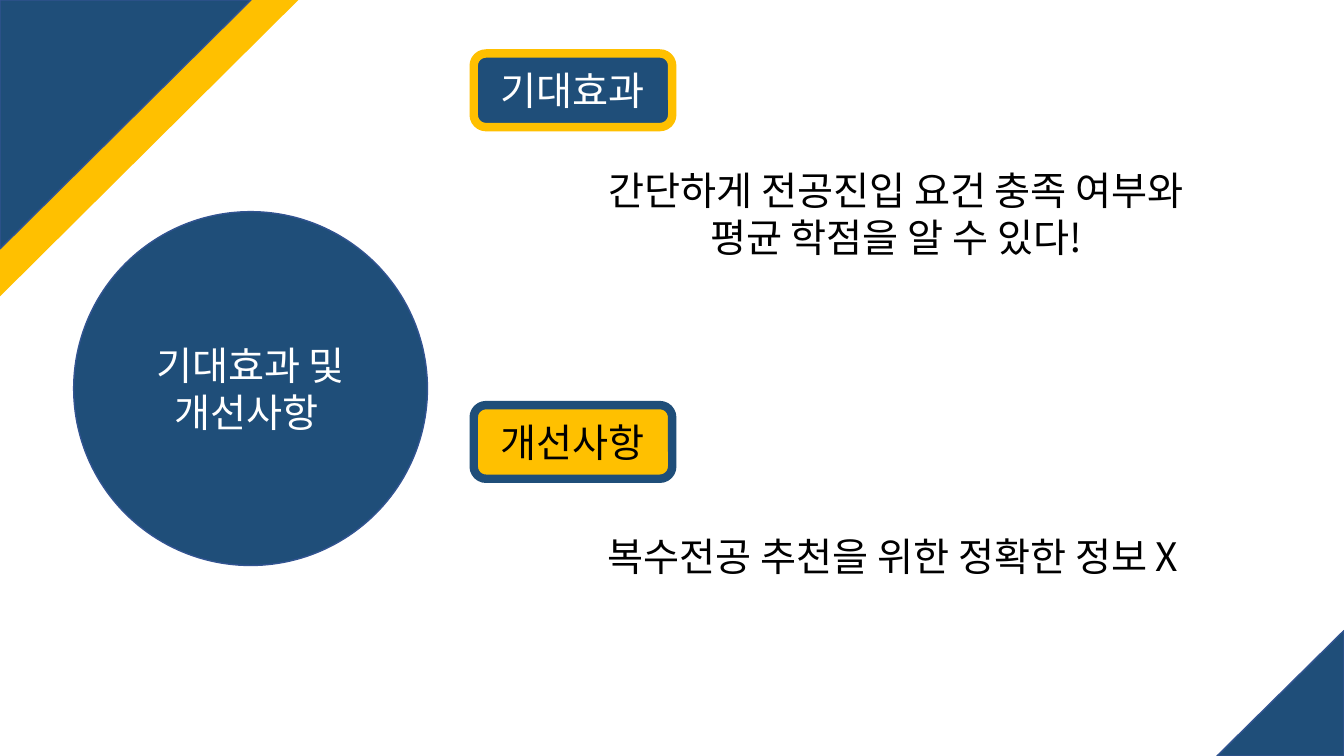
"""Build the expected effects and improvements slide."""
from dataclasses import dataclass

from lxml.etree import SubElement
from pptx import Presentation
from pptx.dml.color import RGBColor
from pptx.enum.shapes import MSO_SHAPE as Preset
from pptx.enum.text import MSO_ANCHOR as Anchor, MSO_AUTO_SIZE as AutoSize, PP_ALIGN as Align
from pptx.oxml.ns import qn
from pptx.util import Pt


@dataclass(frozen=True)
class Theme:
    navy: str = "1F4E79"
    edge: str = "325491"
    gold: str = "FFC000"
    white: str = "FFFFFF"
    black: str = "000000"
    font: str = "Noto Sans CJK KR"
    size: int = 28


THEME = Theme()
WIDTH, HEIGHT = 960, 540
TITLE = "기대효과 및 개선사항 "
CIRCLE = (52.6, 151.2, 252.7, 252.7)
CORNERS = [
    ("top", 213.1, 211.7, THEME.gold, None),
    ("bottom", 90.7, 89.6, THEME.navy, THEME.edge),
    ("top", 179.3, 177.8, THEME.navy, THEME.edge),
]
SECTIONS = [
    {
        "label": "기대효과",
        "badge_top": 38.2,
        "colors": (THEME.navy, THEME.gold, THEME.white),
        "body": "간단하게 전공진입 요건 충족 여부와\n평균 학점을 알 수 있다!",
        "body_box": (373, 115.2, 534.2, 74.9),
        "align": Align.CENTER,
    },
    {
        "label": "개선사항",
        "badge_top": 289.4,
        "colors": (THEME.gold, THEME.navy, THEME.black),
        "body": "복수전공 추천을 위한 정확한 정보 X",
        "body_box": (427, 376.6, 480.2, 41),
        "align": Align.LEFT,
    },
]
BADGE_LEFT, BADGE_WIDTH, BADGE_HEIGHT = 338.4, 141.8, 52.6


def place(shape, box):
    shape.left, shape.top, shape.width, shape.height = map(Pt, box)


def add_shape(page, preset, box, fill, line=None, line_width=1):
    shape = page.shapes.add_shape(preset, *map(Pt, box))
    shape.shadow.inherit = False
    shape.fill.solid()
    shape.fill.fore_color.rgb = RGBColor.from_string(fill)
    if line:
        shape.line.color.rgb = RGBColor.from_string(line)
        shape.line.width = Pt(line_width)
    else:
        shape.line.fill.background()
    return shape


def write(shape, text, color, align, anchor):
    frame = shape.text_frame
    frame.text = text
    frame.word_wrap = True
    frame.auto_size = AutoSize.NONE
    frame.vertical_anchor = anchor
    for para in frame.paragraphs:
        para.alignment = align
        para.space_before = Pt(0)
        properties = para._p.get_or_add_pPr()
        properties.set("marL", "0")
        properties.set("indent", "0")
        SubElement(properties, qn("a:buNone"))
        for span in para.runs:
            span.font.size = Pt(THEME.size)
            span.font.color.rgb = RGBColor.from_string(color)
            span.font.name = THEME.font
            SubElement(span.font._element, qn("a:ea"), typeface=THEME.font)


def main():
    deck = Presentation()
    deck.slide_width, deck.slide_height = Pt(WIDTH), Pt(HEIGHT)
    page = deck.slides.add_slide(deck.slide_layouts[3])

    for side, width, height, fill, line in CORNERS:
        at_top = side == "top"
        origin = (0, 0) if at_top else (WIDTH - width, HEIGHT - height)
        corner = add_shape(page, Preset.ISOSCELES_TRIANGLE, (*origin, width, height), fill, line)
        corner.adjustments[0] = 1
        corner.rotation = 180 if at_top else 0

    add_shape(page, Preset.OVAL, CIRCLE, THEME.navy, THEME.edge)
    left, top, diameter, _ = CIRCLE
    side = diameter * 0.71
    inset = (diameter - side) / 2
    title = page.shapes.title
    place(title, (left + inset, top + inset, side, side))
    write(title, TITLE, THEME.white, Align.CENTER, Anchor.MIDDLE)
    title.element.getparent().append(title.element)

    for index, section in enumerate(SECTIONS, start=1):
        fill, line, color = section["colors"]
        box = (BADGE_LEFT, section["badge_top"], BADGE_WIDTH, BADGE_HEIGHT)
        badge = add_shape(page, Preset.ROUNDED_RECTANGLE, box, fill, line, 6)
        write(badge, section["label"], color, Align.CENTER, Anchor.MIDDLE)
        body = page.placeholders[index]
        place(body, section["body_box"])
        write(body, section["body"], THEME.black, section["align"], Anchor.TOP)

    deck.save("out.pptx")


if __name__ == "__main__":
    main()
